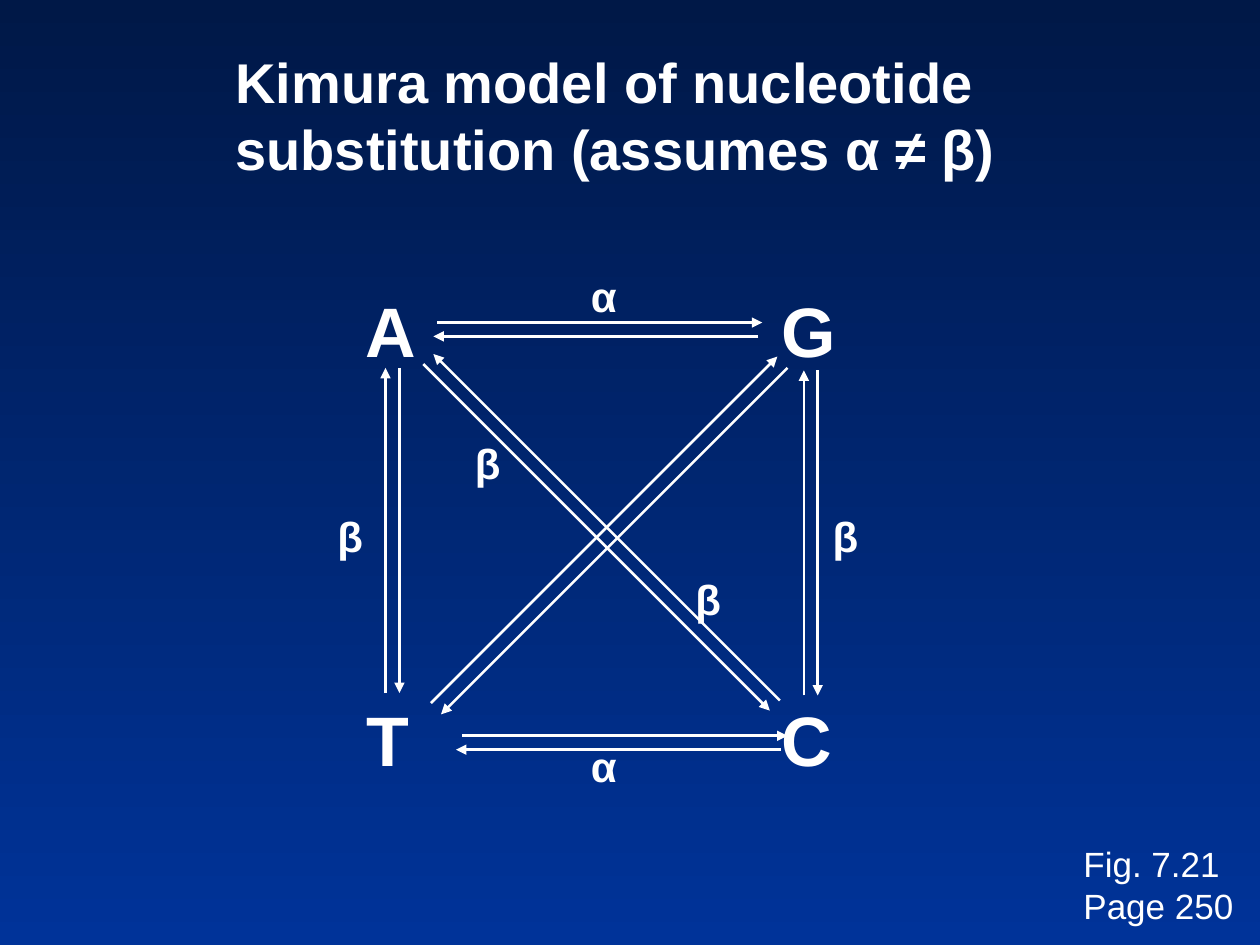
import dataclasses

import pptx
import pptx.dml.color
import pptx.enum.shapes
import pptx.enum.text
import pptx.oxml
import pptx.oxml.ns
import pptx.util
from pptx.util import Inches


@dataclasses.dataclass(frozen=True)
class Theme:
    font: str = "Arial"
    ink: str = "FFFFFF"
    background_top: str = "001847"
    background_bottom: str = "003399"
    title_size: int = 32
    base_size: int = 40
    rate_size: int = 24
    caption_size: int = 20
    arrow_width: float = 1.5


THEME = Theme()

TITLE = ["Kimura model of nucleotide", "substitution (assumes α ≠ β)"]
CAPTION = ["Fig. 7.21", "Page 250"]

# Letter, left, top, width
BASES = [
    ("A", 2.8, 2.23, 0.6),
    ("G", 6.1, 2.23, 0.63),
    ("T", 2.81, 5.48, 0.54),
    ("C", 6.1, 5.48, 0.6),
]

# Symbol, left, top, width
RATES = [
    ("β", 2.58, 4, 0.38),
    ("β", 3.67, 3.42, 0.38),
    ("β", 5.42, 4.5, 0.38),
    ("β", 6.51, 4, 0.38),
    ("α", 4.59, 5.83, 0.41),
    ("α", 4.59, 2.1, 0.41),
]

# Arrow length along each axis, then start x, start y, direction x, direction y
SIDE = 2.58
DIAGONAL = 2.75
ARROWS = {
    SIDE: [
        (3.47, 2.56, 1, 0),
        (3.67, 5.84, 1, 0),
        (6.02, 2.67, -1, 0),
        (6.2, 5.95, -1, 0),
        (3.17, 2.92, 0, 1),
        (3.06, 5.5, 0, -1),
        (6.49, 2.94, 0, 1),
        (6.38, 5.52, 0, -1),
    ],
    DIAGONAL: [
        (3.42, 5.58, 1, -1),
        (3.36, 2.89, 1, 1),
        (6.19, 5.56, -1, -1),
        (6.25, 2.92, -1, 1),
    ],
}


def color(value):
    return pptx.dml.color.RGBColor.from_string(value)


def paint_background(slide):
    fill = slide.background.fill
    fill.gradient()
    fill.gradient_angle = 270  # counter-clockwise, so the first stop is on top
    stops = (THEME.background_top, THEME.background_bottom)
    for stop, value in zip(fill.gradient_stops, stops):
        stop.color.rgb = color(value)


def add_text(slide, lines, left, top, width, height, size, bold=True, centered=False):
    box = slide.shapes.add_textbox(
        Inches(left), Inches(top), Inches(width), Inches(height)
    )
    frame = box.text_frame
    frame.word_wrap = False
    frame.auto_size = pptx.enum.text.MSO_AUTO_SIZE.SHAPE_TO_FIT_TEXT
    for index, line in enumerate(lines):
        paragraph = frame.add_paragraph() if index else frame.paragraphs[0]
        if centered:
            paragraph.alignment = pptx.enum.text.PP_ALIGN.CENTER
        run = paragraph.add_run()
        run.text = line
        run.font.name = THEME.font
        run.font.size = pptx.util.Pt(size)
        run.font.bold = bold
        run.font.color.rgb = color(THEME.ink)


def add_arrow(slide, x, y, run_x, run_y):
    arrow = slide.shapes.add_connector(
        pptx.enum.shapes.MSO_CONNECTOR.STRAIGHT,
        Inches(x), Inches(y), Inches(x + run_x), Inches(y + run_y),
    )
    arrow.line.color.rgb = color(THEME.ink)
    arrow.line.width = pptx.util.Pt(THEME.arrow_width)
    # Arrowhead at the end, and no shadow
    head = pptx.oxml.parse_xml(
        f'<a:tailEnd {pptx.oxml.ns.nsdecls("a")} type="triangle"/>'
    )
    arrow.line._get_or_add_ln().append(head)
    no_effects = pptx.oxml.parse_xml(f'<a:effectLst {pptx.oxml.ns.nsdecls("a")}/>')
    arrow._element.spPr.append(no_effects)


def main():
    presentation = pptx.Presentation()
    presentation.slide_width = Inches(10)
    presentation.slide_height = Inches(7.5)
    slide = presentation.slides.add_slide(presentation.slide_layouts[6])
    paint_background(slide)

    # Title
    add_text(slide, TITLE, 1.77, 0.33, 6.31, 1.17, THEME.title_size)

    # Nucleotides at the corners
    for letter, left, top, width in BASES:
        add_text(slide, [letter], left, top, width, 0.77, THEME.base_size, centered=True)

    # Substitution arrows
    for length, arrows in ARROWS.items():
        for x, y, direction_x, direction_y in arrows:
            add_arrow(slide, x, y, direction_x * length, direction_y * length)

    # Substitution rates
    for symbol, left, top, width in RATES:
        add_text(slide, [symbol], left, top, width, 0.5, THEME.rate_size)

    # Figure reference
    add_text(slide, CAPTION, 8.5, 6.64, 1.39, 0.77, THEME.caption_size, bold=False)

    presentation.save("out.pptx")


if __name__ == "__main__":
    main()
